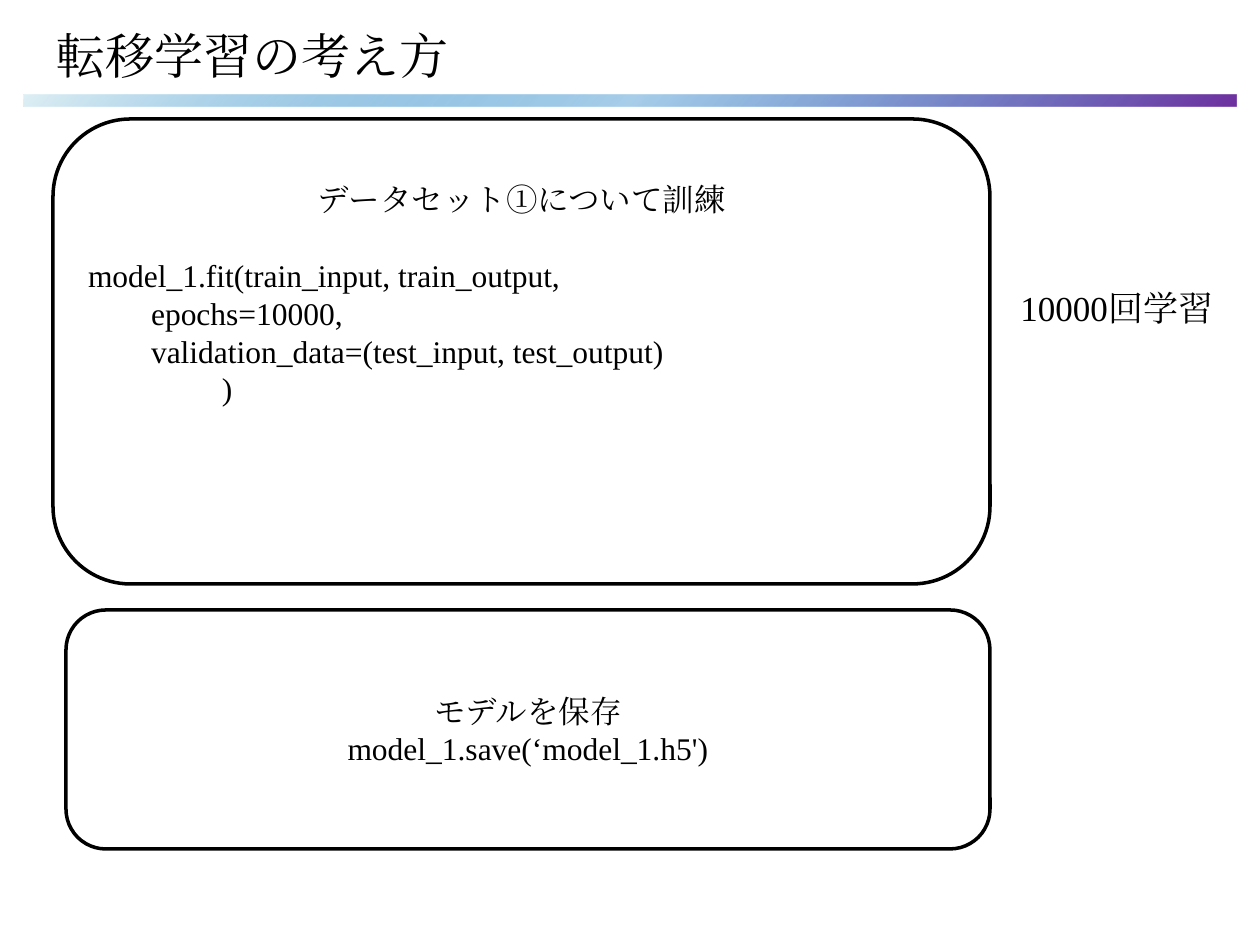
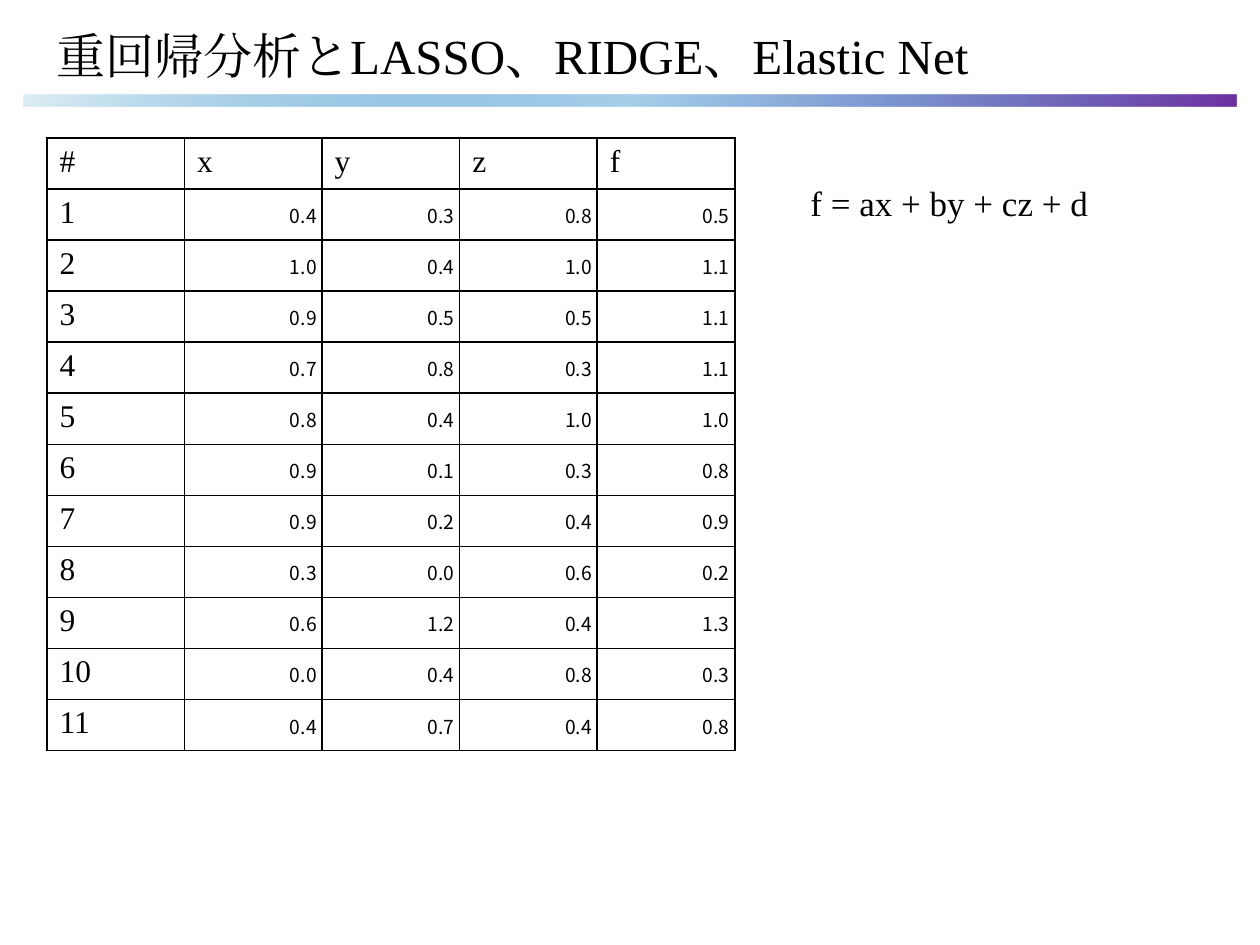
"""Build two slides: transfer learning steps and a multiple regression table."""
from lxml import etree
from pptx import Presentation
from pptx import util as u
from pptx.dml.color import RGBColor
from pptx.enum import shapes, text
from pptx.oxml import parse_xml
from pptx.oxml.ns import qn

HUES = {"ink": "000000", "paper": "FFFFFF", "pale": "DFF0F5", "blue": "0070C0", "plum": "7030A0"}
SERIF, SANS = "Times New Roman", "Noto Sans CJK JP"
NS = "http://schemas.openxmlformats.org/drawingml/2006/main"
LEFT, MID, RIGHT = text.PP_ALIGN.LEFT, text.PP_ALIGN.CENTER, text.PP_ALIGN.RIGHT


def px(*nums):
    """Turn px lengths into EMU."""
    return [u.Emu(round(n * 914400 / 126)) for n in nums]


def write(frame, rows, size, face=SERIF):
    """Fill a text frame with (words, alignment) paragraphs."""
    for i, (words, side) in enumerate(rows):
        para = frame.add_paragraph() if i else frame.paragraphs[0]
        para.alignment = side
        run = para.add_run()
        run.text = words
        run.font.size, run.font.name, run.font.bold = u.Pt(size), face, False
        run.font.color.rgb = RGBColor.from_string(HUES["ink"])
        latin = run.font._element.find(qn("a:latin"))
        east = etree.Element(qn("a:ea"), typeface=face)
        latin.addnext(east)


prs = Presentation()
prs.slide_width, prs.slide_height = px(1260, 945)

pages = []
for head in ("転移学習の考え方", "重回帰分析とLASSO、RIDGE、Elastic Net"):
    page = prs.slides.add_slide(prs.slide_layouts[5])
    pages.append(page)
    title = page.shapes.title
    title.left, title.top, title.width, title.height = px(44, 16, 1153, 77)
    title.text_frame.vertical_anchor = text.MSO_ANCHOR.MIDDLE
    write(title.text_frame, [(head, LEFT)], 28)

    band = page.shapes.add_shape(shapes.MSO_SHAPE.RECTANGLE, *px(24, 95, 1212, 11))
    band.shadow.inherit = False
    band.line.fill.background()
    band.fill.gradient()
    band.fill.gradient_angle = 315
    stops = band.element.spPr.find(".//" + qn("a:gsLst"))
    stops.getparent().replace(stops, parse_xml(
        f'<a:gsLst xmlns:a="{NS}">'
        f'<a:gs pos="0"><a:srgbClr val="{HUES["pale"]}"/></a:gs>'
        f'<a:gs pos="50000"><a:srgbClr val="{HUES["blue"]}"><a:alpha val="34000"/></a:srgbClr></a:gs>'
        f'<a:gs pos="100000"><a:srgbClr val="{HUES["plum"]}"/></a:gs></a:gsLst>'))

learn, regress = pages

train = [
    ("データセット①について訓練", MID),
    ("model_1.fit(train_input, train_output,", LEFT),
    ("\tepochs=10000,", LEFT),
    ("\tvalidation_data=(test_input, test_output)", LEFT),
    ("                 )", LEFT),
]
save = [("モデルを保存", MID), ("model_1.save(‘model_1.h5')", MID)]
steps = []
for spot, rows in (((53, 119, 937, 465), train), ((66, 610, 924, 239), save)):
    step = learn.shapes.add_shape(shapes.MSO_SHAPE.ROUNDED_RECTANGLE, *px(*spot))
    step.shadow.inherit = False
    step.fill.solid()
    step.fill.fore_color.rgb = RGBColor.from_string(HUES["paper"])
    step.line.color.rgb = RGBColor.from_string(HUES["ink"])
    step.line.width = u.Pt(2)
    step.text_frame.word_wrap = True
    step.text_frame.vertical_anchor = text.MSO_ANCHOR.MIDDLE
    write(step.text_frame, rows, 18)
    steps.append(step)

frame = steps[0].text_frame
frame.vertical_anchor = text.MSO_ANCHOR.TOP
frame.margin_top, = px(38)
frame.paragraphs[0].space_after = u.Pt(22)

for page, spot, words in (
    (learn, (1008, 280, 219, 55), "10000回学習"),
    (regress, (798, 175, 382, 55), "f = ax + by + cz + d"),
):
    note = page.shapes.add_textbox(*px(*spot))
    note.text_frame.word_wrap = True
    write(note.text_frame, [(words, LEFT)], 20)

data = [
    (0.4, 0.3, 0.8, 0.5),
    (1.0, 0.4, 1.0, 1.1),
    (0.9, 0.5, 0.5, 1.1),
    (0.7, 0.8, 0.3, 1.1),
    (0.8, 0.4, 1.0, 1.0),
    (0.9, 0.1, 0.3, 0.8),
    (0.9, 0.2, 0.4, 0.9),
    (0.3, 0.0, 0.6, 0.2),
    (0.6, 1.2, 0.4, 1.3),
    (0.0, 0.4, 0.8, 0.3),
    (0.4, 0.7, 0.4, 0.8),
]
grid = [tuple("#xyzf")] + [(str(n), *(f"{v:.1f} " for v in vals)) for n, vals in enumerate(data, 1)]
table = regress.shapes.add_table(len(grid), 5, *px(47, 138, 688, 613)).table
table.first_row = table.horz_banding = False
for r, line in enumerate(grid):
    for c, words in enumerate(line):
        cell = table.cell(r, c)
        cell.fill.background()
        if r and c:
            cell.vertical_anchor = text.MSO_ANCHOR.MIDDLE
            cell.margin_left, cell.margin_top, cell.margin_right, cell.margin_bottom = px(1, 1, 1, 0)
            write(cell.text_frame, [(words, RIGHT)], 11, SANS)
        else:
            write(cell.text_frame, [(words, LEFT)], 18)
        props = cell._tc.get_or_add_tcPr()
        for i, side in enumerate("LRTB"):
            props.insert(i, parse_xml(
                f'<a:ln{side} xmlns:a="{NS}" w="12700"><a:solidFill>'
                f'<a:srgbClr val="{HUES["ink"]}"/></a:solidFill></a:ln{side}>'))

prs.save("out.pptx")
